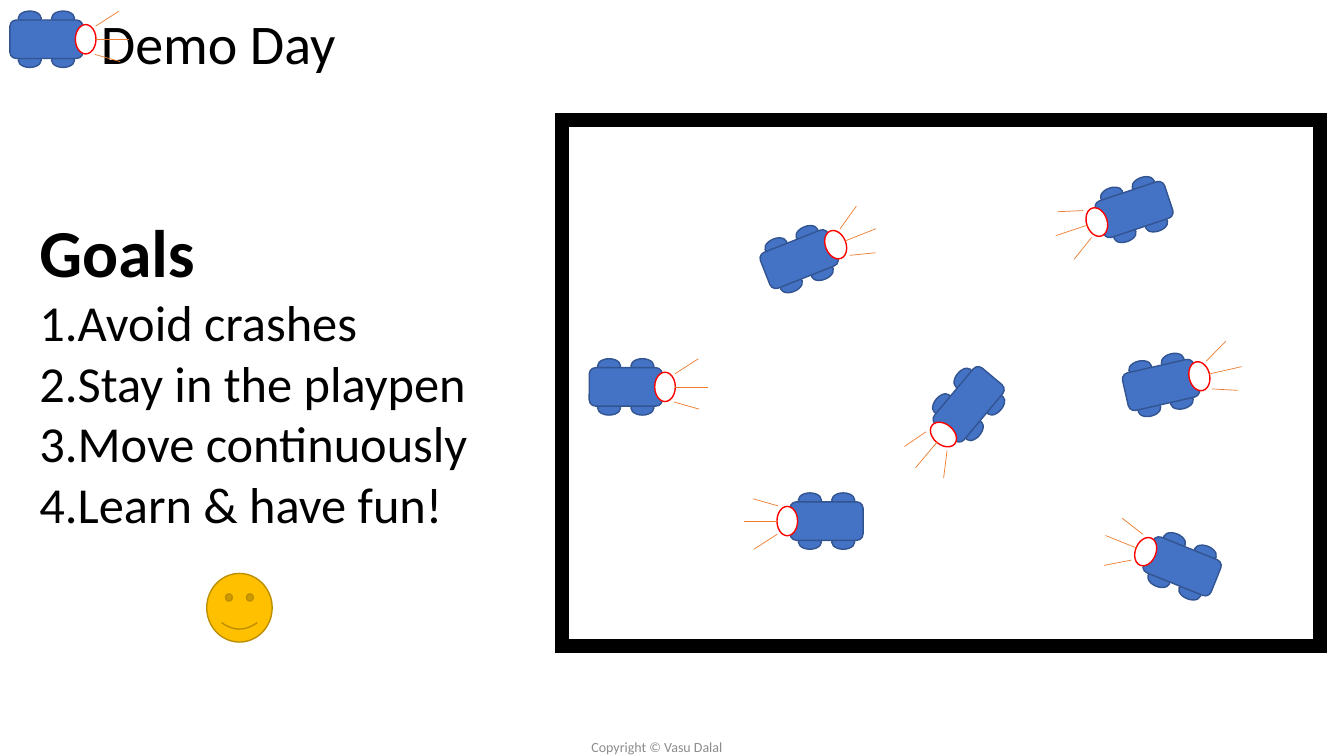
from math import cos, radians, sin

from lxml.etree import SubElement
from pptx import Presentation
from pptx.dml.color import RGBColor
from pptx.enum.shapes import MSO_CONNECTOR, MSO_SHAPE
from pptx.enum.text import MSO_ANCHOR, MSO_AUTO_SIZE, PP_ALIGN
from pptx.oxml.ns import qn
from pptx.util import Cm, Pt

COLORS = {
    "black": "000000", "white": "FFFFFF", "grey": "8C8C8C",
    "body": "4472C4", "body_edge": "325491", "lamp_edge": "FF0000",
    "ray": "ED7D31", "smiley": "FFC000", "smiley_edge": "BD8E00",
}

# Car parts, in cm from the centre of a car that faces right
WHEEL_OFFSETS = [(x, y) for y in (0.53, -0.53) for x in (-0.42, 0.42)]
RAYS = [
    ((1.24, -0.33), (1.83, -0.71)),
    ((1.24, 0), (2.08, 0)),
    ((1.22, 0.38), (1.85, 0.56)),
]

# Cars in the playpen: centre in cm from the pen's corner, and heading
PEN_CARS = [
    (1.6, 6.73, 0), (5.97, 3.51, 338.4), (14.41, 2.26, 161.5),
    (10.24, 7.17, 129.9), (6.66, 10.11, 180), (15.62, 11.25, 201.9),
    (15.09, 6.68, 347.2),
]
GOALS = ["Avoid crashes", "Stay in the playpen", "Move continuously",
         "Learn & have fun!"]


def color(name):
    return RGBColor.from_string(COLORS[name])


def apply(target, formats):
    for name, value in formats.items():
        setattr(target, name, value)


def place(shape, box):
    names = ("left", "top", "width", "height")
    apply(shape, dict(zip(names, map(Cm, box))))


def format_text(paragraph, size, color_name="black", bold=False):
    apply(paragraph.font, {"name": "Calibri", "size": Pt(size), "bold": bold})
    paragraph.font.color.rgb = color(color_name)


def add_filled(shapes, kind, box, fill, edge, weight=1, rotation=0):
    shape = shapes.add_shape(kind, *map(Cm, box))
    shape.shadow.inherit = False
    shape.fill.solid()
    shape.fill.fore_color.rgb = color(fill)
    shape.line.color.rgb = color(edge)
    shape.line.width = Pt(weight)
    shape.rotation = rotation
    return shape


def add_car(shapes, center_x, center_y, heading=0):
    car = shapes.add_group_shape().shapes
    cosine, sine = cos(radians(heading)), sin(radians(heading))

    def turn(x, y):
        return (center_x + x * cosine - y * sine,
                center_y + x * sine + y * cosine)

    def add_part(kind, offset, width, height, fill, edge):
        x, y = turn(*offset)
        box = (x - width / 2, y - height / 2, width, height)
        add_filled(car, kind, box, fill, edge, rotation=heading)

    # Wheels, body and headlight
    for offset in WHEEL_OFFSETS:
        add_part(MSO_SHAPE.OVAL, offset, 0.58, 0.36, "body", "body_edge")
    add_part(MSO_SHAPE.ROUNDED_RECTANGLE, (0, 0), 1.84, 0.97,
             "body", "body_edge")
    add_part(MSO_SHAPE.OVAL, (0.99, 0), 0.52, 0.74, "white", "lamp_edge")

    # Light rays
    for start, end in RAYS:
        ray = car.add_connector(MSO_CONNECTOR.STRAIGHT,
                                *map(Cm, turn(*start) + turn(*end)))
        ray.line.color.rgb = color("ray")
        ray.line.width = Pt(0.5)
        SubElement(ray._element.spPr, qn("a:effectLst"))


def add_title(slide, box):
    title = slide.shapes.title
    place(title, box)
    title.text_frame.text = "Demo Day"
    apply(title.text_frame, {"vertical_anchor": MSO_ANCHOR.MIDDLE,
                             "auto_size": MSO_AUTO_SIZE.NONE})
    paragraph = title.text_frame.paragraphs[0]
    apply(paragraph, {"alignment": PP_ALIGN.LEFT, "line_spacing": 0.9})
    format_text(paragraph, 40)


def add_goals(slide, box):
    left, top, width, height = box
    goals = slide.placeholders[1]
    place(goals, box)
    frame = goals.text_frame
    frame.text = "\n".join(["Goals"] + GOALS)
    apply(frame, {"word_wrap": False, "auto_size": MSO_AUTO_SIZE.NONE,
                  "vertical_anchor": MSO_ANCHOR.TOP})
    for index, paragraph in enumerate(frame.paragraphs):
        apply(paragraph, {"space_before": Pt(0), "line_spacing": 1.0})
        properties = paragraph._p.get_or_add_pPr()
        indent = Cm(0.95) if index else 0
        properties.set("marL", str(indent))
        properties.set("indent", str(-indent))
        if index:
            SubElement(properties, qn("a:buFont"), typeface="+mj-lt")
            SubElement(properties, qn("a:buAutoNum"), type="arabicPeriod")
            format_text(paragraph, 36)
        else:
            SubElement(properties, qn("a:buNone"))
            format_text(paragraph, 48, bold=True)

    # Smiley below the list
    add_filled(slide.shapes, MSO_SHAPE.SMILEY_FACE,
               (left + 4.47, top + height + 0.81, 1.65, 1.73),
               "smiley", "smiley_edge")


def add_playpen(slide, box):
    left, top = box[:2]
    pen = add_filled(slide.shapes, MSO_SHAPE.RECTANGLE, box,
                     "white", "black", weight=10)
    SubElement(pen.line._get_or_add_ln(), qn("a:miter"), lim="800000")
    for x, y, heading in PEN_CARS:
        add_car(slide.shapes, left + x, top + y, heading)


def add_footer(slide, box):
    frame = slide.shapes.add_textbox(*map(Cm, box)).text_frame
    frame.text = "Copyright © Vasu Dalal"
    apply(frame, {"word_wrap": True, "vertical_anchor": MSO_ANCHOR.MIDDLE})
    frame.paragraphs[0].alignment = PP_ALIGN.CENTER
    format_text(frame.paragraphs[0], 10, "grey")


def main():
    presentation = Presentation()
    apply(presentation, {"slide_width": Cm(33.87), "slide_height": Cm(19.05)})
    slide = presentation.slides.add_slide(presentation.slide_layouts[1])
    add_title(slide, (2.29, -0.66, 29.21, 3.68))
    add_footer(slide, (11.46, 18.57, 10.19, 0.48))
    add_playpen(slide, (14.17, 3.02, 19.1, 13.26))
    add_goals(slide, (0.74, 5.18, 11.4, 8.46))
    add_car(slide.shapes, 1.17, 0.99)
    presentation.save("out.pptx")


if __name__ == "__main__":
    main()
